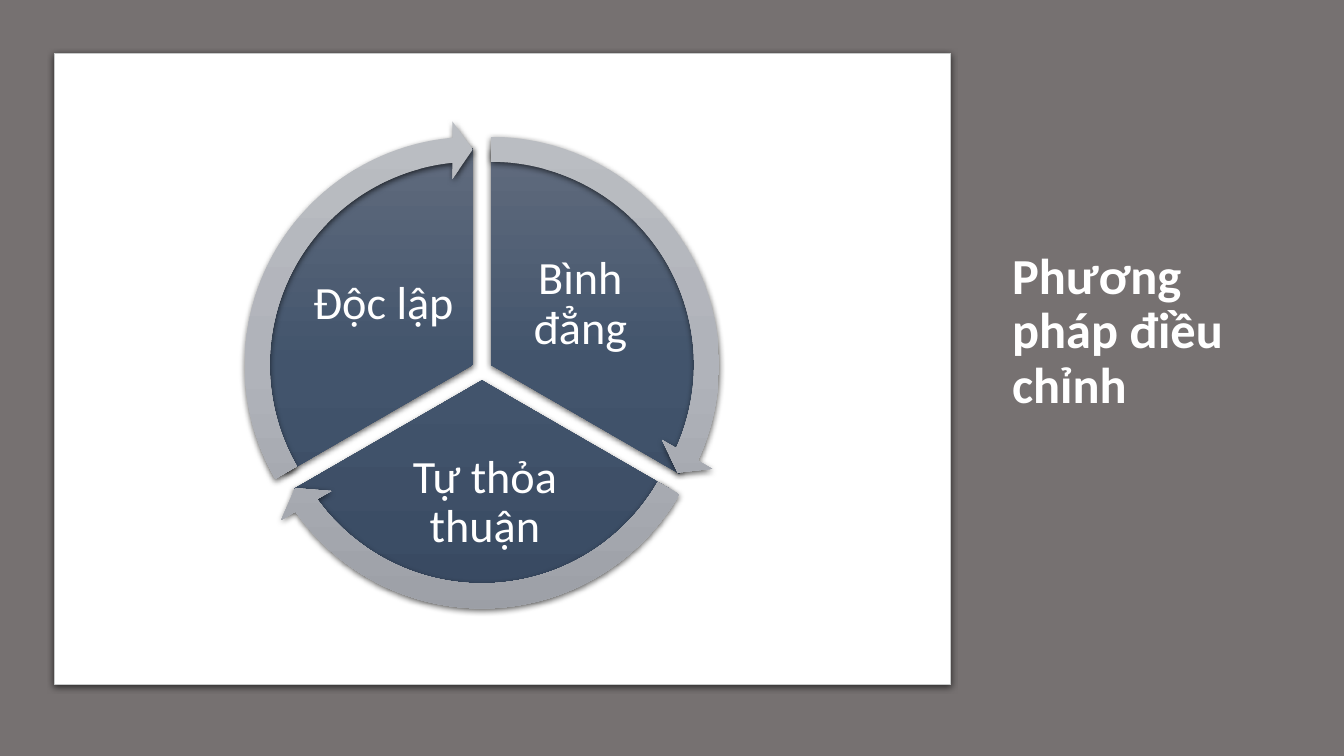
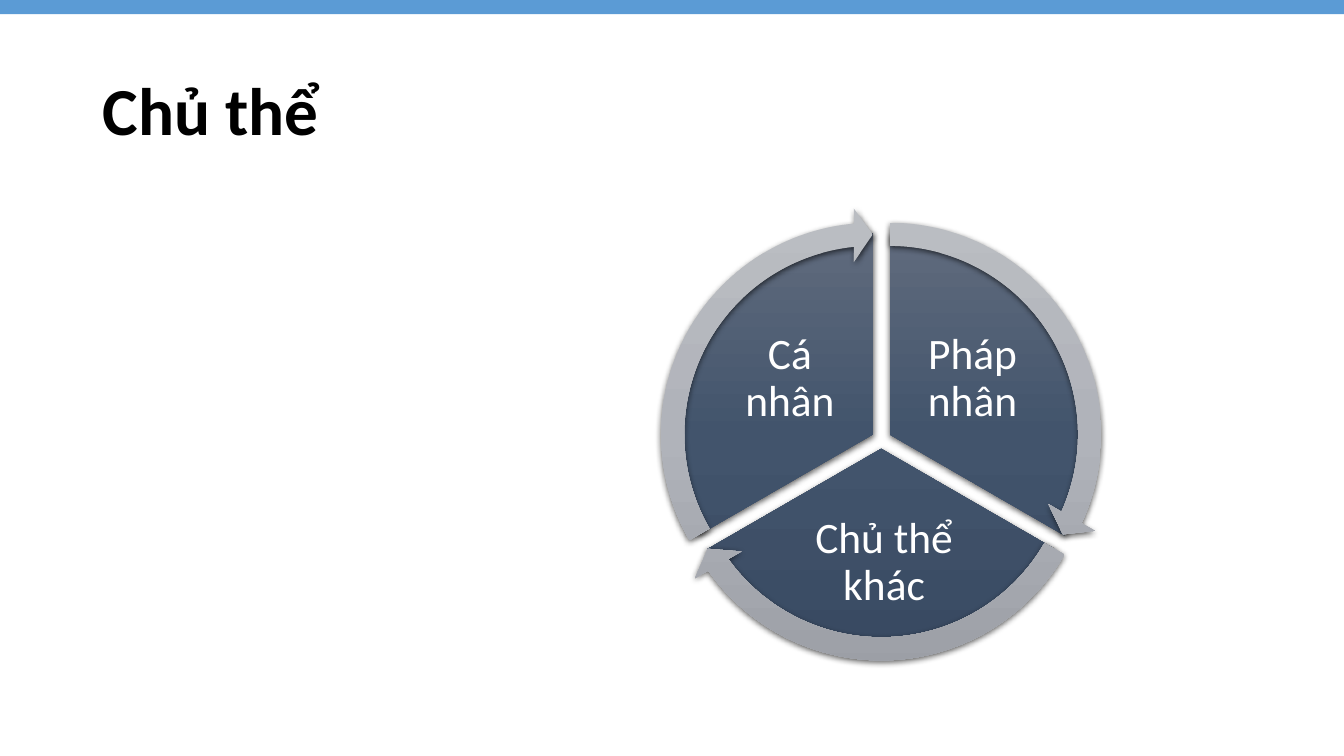
from copy import deepcopy

from lxml.etree import SubElement
from pptx import Presentation
from pptx.dml.color import RGBColor
from pptx.enum.shapes import MSO_SHAPE as Preset
from pptx.enum.text import MSO_ANCHOR as Anchor, PP_ALIGN as Align
from pptx.oxml.ns import qn
from pptx.util import Inches, Pt

WIDTH, HEIGHT = 13.33, 7.5
FONT = "Calibri"
COLORS = {
    "paper": "FFFFFF", "mist": "E7E6E6", "stone": "767171", "edge": "C8CACA",
    "band": "5B9BD5", "ink": "000000", "light": "FFFFFF", "shadow": "000000",
}
WEDGE_FILL = ("606B7D", "42546C", "394A62")
ARROW_FILL = ("BABDC2", "B0B3BA", "9C9FA6")

SPREAD, DROP, ARROW_SCALE = 1 / 48, 1 / 28, 1.125
SECTORS = (
    {"shift": (SPREAD, 0), "wedge": (162, 18), "sweep": (14.725, 161.994),
     "label": (0.048, -0.287, 0.357, 0.297)},
    {"shift": (0, DROP), "wedge": (18, 90), "sweep": (86.72, 18.005),
     "label": (-0.261, 0.187, 0.536, 0.262)},
    {"shift": (-SPREAD, 0), "wedge": (90, 162), "sweep": (158.73, 90),
     "label": (-0.405, -0.287, 0.357, 0.297)},
)


def color(name):
    """Return the named colour."""
    return RGBColor.from_string(COLORS[name])


def add_shadow(shape):
    """Give a shape the soft shadow that falls straight down."""
    shape.shadow.inherit = False
    effects = shape._element.spPr.find(qn("a:effectLst"))
    outer = SubElement(effects, qn("a:outerShdw"), blurRad=str(Pt(4.5)),
                       dist=str(Pt(1.5)), dir="5400000", algn="ctr", rotWithShape="0")
    tint = SubElement(outer, qn("a:srgbClr"), val=COLORS["shadow"])
    SubElement(tint, qn("a:alpha"), val="63000")


def fill_gradient(shape, shades):
    """Fill a shape from top to bottom with evenly spaced shades."""
    shape.fill.gradient()
    shape.fill.gradient_angle = 270
    stop_list = shape._element.spPr.find(qn("a:gradFill")).find(qn("a:gsLst"))
    stop_list.append(deepcopy(stop_list[0]))
    for index, (stop, shade) in enumerate(zip(shape.fill.gradient_stops, shades)):
        stop.position = index / (len(shades) - 1)
        stop.color.rgb = RGBColor.from_string(shade)


def add_preset(shapes, preset, box, adjustments=()):
    """Add a preset shape without line or shadow."""
    shape = shapes.add_shape(preset, *map(Inches, box))
    for index, value in enumerate(adjustments):
        shape.adjustments[index] = value
    shape.line.fill.background()
    shape.shadow.inherit = False
    return shape


def add_panel(page, box, fill):
    """Add a plain rectangle."""
    panel = add_preset(page.shapes, Preset.RECTANGLE, box)
    panel.fill.solid()
    panel.fill.fore_color.rgb = color(fill)
    return panel


def add_text(shapes, box, text, size, tone="light", bold=False, align=Align.LEFT,
             insets=(0.1, 0.05)):
    """Add one vertically centred paragraph."""
    frame = shapes.add_textbox(*map(Inches, box)).text_frame
    frame.word_wrap = True
    frame.vertical_anchor = Anchor.MIDDLE
    frame.margin_left = frame.margin_right = Inches(insets[0])
    frame.margin_top = frame.margin_bottom = Inches(insets[1])
    para = frame.paragraphs[0]
    para.text = text
    para.alignment = align
    para.line_spacing = 0.9
    para.font.name = FONT
    para.font.size = Pt(size)
    para.font.bold = bold
    para.font.color.rgb = color(tone)


def add_title(page, box, text, size, tone):
    """Add the bold slide title."""
    add_text(page.shapes, box, text, size, tone, bold=True)


def add_cycle(page, hub, diameter, labels, size):
    """Draw three wedges around a hub, each with its label and rim arrow."""
    shapes = page.shapes.add_group_shape().shapes

    def round_part(preset, sector, scale, adjustments, shades):
        """Add a part centred on the shifted hub of its sector."""
        side = diameter * scale
        corner = [middle + shift * diameter - side / 2
                  for middle, shift in zip(hub, sector["shift"])]
        part = add_preset(shapes, preset, (*corner, side, side), adjustments)
        fill_gradient(part, shades)
        add_shadow(part)

    for sector, label in zip(SECTORS, labels):
        round_part(Preset.PIE, sector, 1, sector["wedge"], WEDGE_FILL)
        left, top, width, height = (share * diameter for share in sector["label"])
        add_text(shapes, (hub[0] + left, hub[1] + top, width, height), label, size,
                 align=Align.CENTER, insets=(0.05, 0.05))
    for sector in SECTORS:
        round_part(Preset.CIRCULAR_ARROW, sector, ARROW_SCALE,
                   (0.051, 3.275, *sector["sweep"], 0.059), ARROW_FILL)


def add_page(deck, background):
    """Add a blank slide with a solid background."""
    page = deck.slides.add_slide(deck.slide_layouts[6])
    page.background.fill.solid()
    page.background.fill.fore_color.rgb = color(background)
    return page


def build_method_page(deck):
    """Build the slide with a white card and a title at its side."""
    page = add_page(deck, "mist")
    add_panel(page, (0, 0, WIDTH, HEIGHT), "stone")
    add_title(page, (9.94, 0.68, 2.86, 5.24), "Phương pháp điều chỉnh", 36, "light")
    card = add_panel(page, (0.54, 0.53, 8.89, 6.26), "paper")
    card.line.color.rgb = color("edge")
    card.line.width = Pt(0.75)
    add_shadow(card)
    add_cycle(page, (4.78, 3.62), 4.31, ("Bình đẳng", "Tự thỏa thuận", "Độc lập"), 33)


def build_subject_page(deck):
    """Build the slide with a top band and a title above the cycle."""
    page = add_page(deck, "paper")
    add_title(page, (0.92, 0.4, 11.5, 1.45), "Chủ thể", 48, "ink")
    add_panel(page, (0, 0, WIDTH, 0.14), "band")
    add_cycle(page, (8.74, 4.31), 4, ("Pháp nhân", "Chủ thể khác", "Cá nhân"), 31)


def main():
    """Build and save the deck."""
    deck = Presentation()
    deck.slide_width, deck.slide_height = Inches(WIDTH), Inches(HEIGHT)
    build_method_page(deck)
    build_subject_page(deck)
    deck.save("out.pptx")


if __name__ == "__main__":
    main()
